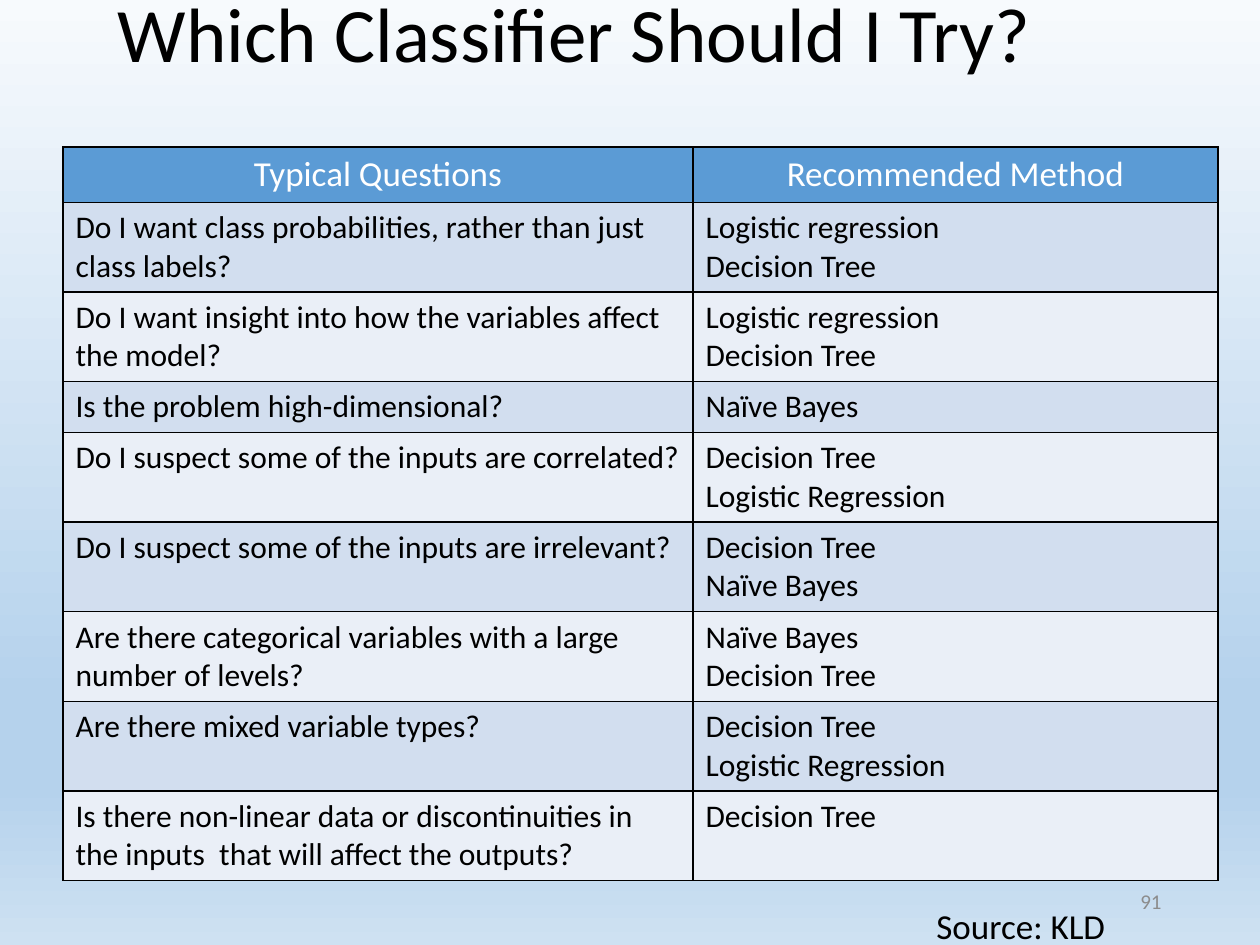
"""Build the slide that matches typical questions to recommended classifiers."""
from lxml import etree
from pptx import Presentation
from pptx.dml.color import RGBColor
from pptx.enum.text import MSO_ANCHOR, MSO_AUTO_SIZE, PP_ALIGN
from pptx.oxml.ns import qn
from pptx.util import Pt

LEFT, CENTER, RIGHT = PP_ALIGN.LEFT, PP_ALIGN.CENTER, PP_ALIGN.RIGHT
TOP, MIDDLE = MSO_ANCHOR.TOP, MSO_ANCHOR.MIDDLE
FIXED, GROW = MSO_AUTO_SIZE.NONE, MSO_AUTO_SIZE.SHAPE_TO_FIT_TEXT
PX = 914400 / 126
COLORS = {
    "text": "000000", "number": "8C8C8C", "border": "000000",
    "header": "5B9BD5", "header_text": "FFFFFF",
    "odd": "D2DEEF", "even": "EAEFF7",
}
BACKGROUND = [(0, "F7FAFD"), (74, "B5D2EC"), (83, "B5D2EC"), (100, "CEE1F2")]
COLUMNS = [630, 525]
HEADER_H, LINE_H, ROW_H = 54, 43, 76
ROWS = [
    ("Typical Questions", "Recommended Method", HEADER_H),
    ("Do I want class probabilities, rather than just class labels?",
     "Logistic regression\nDecision Tree", ROW_H),
    ("Do I want insight into how the variables affect the model?",
     "Logistic regression\nDecision Tree", ROW_H),
    ("Is the problem high-dimensional?", "Naïve Bayes", LINE_H),
    ("Do I suspect some of the inputs are correlated?",
     "Decision Tree\nLogistic Regression", ROW_H),
    ("Do I suspect some of the inputs are irrelevant?",
     "Decision Tree\nNaïve Bayes", ROW_H),
    ("Are there categorical variables with a large number of levels?",
     "Naïve Bayes\nDecision Tree", ROW_H),
    ("Are there mixed variable types?",
     "Decision Tree\nLogistic Regression", ROW_H),
    ("Is there non-linear data or discontinuities in the inputs  that will affect the outputs?",
     "Decision Tree", ROW_H),
]


def emu(px):
    """Turn px into EMU."""
    return round(px * PX)


class Deck:
    """Hold the style and the current slide."""

    font = "Calibri"

    def __init__(self, width, height):
        """Start a deck with one title-only slide."""
        self.prs = Presentation()
        self.prs.slide_width, self.prs.slide_height = emu(width), emu(height)
        self.s = self.prs.slides.add_slide(self.prs.slide_layouts[5])

    def background(self, stops):
        """Fill the slide with a gradient from top to bottom."""
        fill = self.s.background.fill
        fill.gradient()
        fill.gradient_angle = 270
        gs_list = next(self.s.element.iter(qn("a:gsLst")))
        for gs in list(gs_list):
            gs_list.remove(gs)
        for pos, color in stops:
            gs = etree.SubElement(gs_list, qn("a:gs"), pos=str(pos * 1000))
            etree.SubElement(gs, qn("a:srgbClr"), val=color)

    def set_text(self, tf, text, size, color="text", align=LEFT, spacing=None):
        """Put formatted text into a text frame."""
        tf.text = text
        for p in tf.paragraphs:
            p.alignment = align
            p.line_spacing = spacing
            for r in p.runs:
                r.font.color.rgb = RGBColor.from_string(COLORS[color])
                for name, value in {"name": self.font, "size": Pt(size)}.items():
                    setattr(r.font, name, value)

    def frame(self, tf, **values):
        """Set wrapping and the given text frame values."""
        for name, value in {"word_wrap": True, **values}.items():
            setattr(tf, name, value)

    def title(self, text, box, size):
        """Move and fill the title placeholder."""
        sp = self.s.shapes.title
        for name, value in zip(("left", "top", "width", "height"), box):
            setattr(sp, name, emu(value))
        self.frame(sp.text_frame, vertical_anchor=TOP, auto_size=FIXED)
        self.set_text(sp.text_frame, text, size, spacing=0.9)

    def text(self, text, box, size, color="text", align=LEFT, anchor=TOP, fit=FIXED):
        """Add a text box."""
        sp = self.s.shapes.add_textbox(*map(emu, box))
        self.frame(sp.text_frame, vertical_anchor=anchor, auto_size=fit)
        self.set_text(sp.text_frame, text, size, color, align)

    def border(self, cell):
        """Draw a thin line on each side of a cell."""
        tc_pr = cell._tc.get_or_add_tcPr()
        for i, side in enumerate(("a:lnL", "a:lnR", "a:lnT", "a:lnB")):
            ln = etree.Element(qn(side), w=str(Pt(1)))
            fill = etree.SubElement(ln, qn("a:solidFill"))
            etree.SubElement(fill, qn("a:srgbClr"), val=COLORS["border"])
            tc_pr.insert(i, ln)

    def table(self, rows, columns, box):
        """Add a table with a header row and banded body rows."""
        gf = self.s.shapes.add_table(len(rows), len(columns), *map(emu, box))
        table = gf.table
        for column, width in zip(table.columns, columns):
            column.width = emu(width)
        for i, (*texts, height) in enumerate(rows):
            table.rows[i].height = emu(height)
            band = "odd" if i % 2 else "even"
            for j, text in enumerate(texts):
                cell = table.cell(i, j)
                cell.fill.solid()
                cell.fill.fore_color.rgb = RGBColor.from_string(COLORS[band if i else "header"])
                self.border(cell)
                if i:
                    self.set_text(cell.text_frame, text, 18)
                else:
                    self.set_text(cell.text_frame, text, 20, "header_text", CENTER)
        gf.height = emu(box[3])


def main():
    """Build and save the slide."""
    deck = Deck(1260, 945)
    deck.background(BACKGROUND)
    deck.text("91", (890, 876, 284, 50), 12, "number", RIGHT, MIDDLE)
    deck.title("Which Classifier Should I Try?", (105, -10, 1071, 158), 44)
    deck.table(ROWS, COLUMNS, (63, 147, sum(COLUMNS), 722))
    deck.text("Source: KLD", (924, 898, 252, 55), 20, fit=GROW)
    deck.prs.save("out.pptx")


if __name__ == "__main__":
    main()
